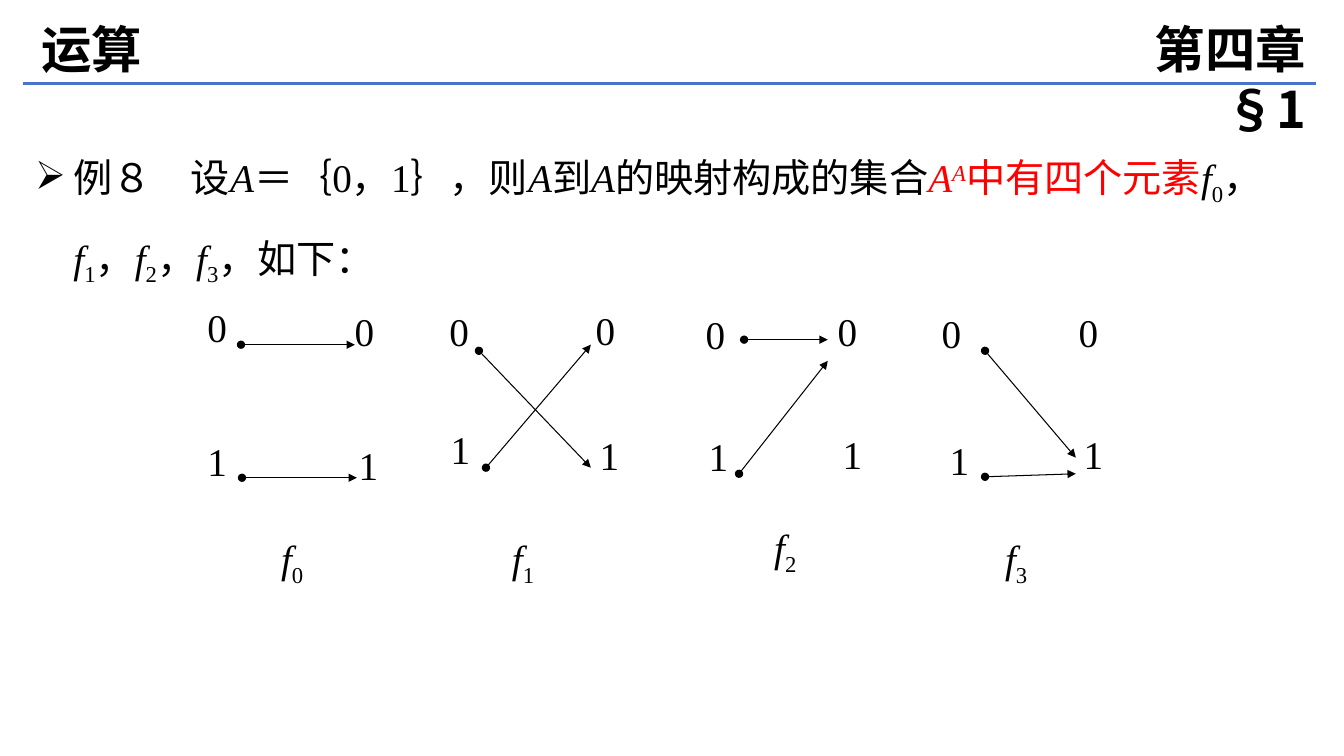
from lxml.etree import SubElement
from pptx import Presentation
from pptx.dml.color import RGBColor
from pptx.enum.shapes import MSO_CONNECTOR
from pptx.enum.text import MSO_ANCHOR, MSO_AUTO_SIZE, PP_ALIGN
from pptx.oxml.ns import qn
from pptx.util import Inches, Pt

COLORS = {"text": "000000", "accent": "FF0000", "rule": "4874CB"}
HEADING_FONT = "Noto Sans CJK SC"
MATH_FONT = "Times New Roman"
LABEL_WIDTH, LABEL_HEIGHT = 0.66, 0.92
SUBSCRIPT, SUPERSCRIPT = -25, 30

MAPPINGS = [
    {
        "name": (2.69, 5.25),
        "labels": [("0", 1.96, 2.96), ("1", 1.96, 4.29), ("0", 3.42, 3), ("1", 3.46, 4.33)],
        "arrows": [(2.39, 3.42, 3.52, 3.42), (2.4, 4.74, 3.54, 4.74)],
        "dots": [(3.61, 3.42), (3.63, 4.76)],
    },
    {
        "name": (4.98, 5.25),
        "labels": [("0", 4.36, 3), ("1", 4.37, 4.17), ("0", 5.81, 2.99), ("1", 5.85, 4.23)],
        "arrows": [(4.75, 3.48, 5.86, 4.64), (4.82, 4.64, 5.86, 3.42)],
        "dots": [(6.05, 3.42), (6.05, 4.64)],
    },
    {
        "name": (7.58, 5.14),
        "labels": [("0", 6.9, 3.03), ("1", 6.93, 4.24), ("0", 8.21, 3), ("1", 8.26, 4.22)],
        "arrows": [(7.38, 3.37, 8.21, 3.37), (7.33, 4.7, 8.21, 3.58)],
        "dots": [(8.58, 3.42), (8.63, 4.64)],
    },
    {
        "name": (9.87, 5.25),
        "labels": [("0", 9.24, 3.02), ("1", 9.32, 4.28), ("0", 10.6, 3.01), ("1", 10.65, 4.22)],
        "arrows": [(9.77, 3.48, 10.67, 4.54), (9.77, 4.73, 10.67, 4.7)],
        "dots": [(10.7, 3.42), (10.74, 4.7)],
    },
]


def add_run(paragraph, text, size=28, font=MATH_FONT, color="text",
            bold=False, italic=False, baseline=0):
    """Append one formatted run to a paragraph."""
    run = paragraph.add_run()
    run.text = text
    run.font.size = Pt(size)
    run.font.name = font
    run.font.bold = bold
    run.font.italic = italic
    run.font.color.rgb = RGBColor.from_string(COLORS[color])
    properties = run._r.get_or_add_rPr()
    SubElement(properties, qn("a:ea")).set("typeface", HEADING_FONT)
    if baseline:
        properties.set("baseline", str(baseline * 1000))


def add_function_name(paragraph, index):
    """Write the italic f with its subscript index."""
    add_run(paragraph, "f", italic=True)
    add_run(paragraph, str(index), baseline=SUBSCRIPT)


def add_text_box(slide, left, top, width, height):
    """Add a wrapping, top-anchored text box and return it."""
    box = slide.shapes.add_textbox(Inches(left), Inches(top), Inches(width), Inches(height))
    box.text_frame.word_wrap = True
    box.text_frame.vertical_anchor = MSO_ANCHOR.TOP
    return box


def add_label(slide, left, top):
    """Add a diagram label box and return its justified paragraph."""
    box = add_text_box(slide, left, top, LABEL_WIDTH, LABEL_HEIGHT)
    paragraph = box.text_frame.paragraphs[0]
    paragraph.alignment = PP_ALIGN.JUSTIFY
    return paragraph


def add_line(slide, start_x, start_y, end_x, end_y, color="text", width=0.75,
             head=None, tail=None):
    """Add a straight line with optional end markers."""
    line = slide.shapes.add_connector(
        MSO_CONNECTOR.STRAIGHT, Inches(start_x), Inches(start_y), Inches(end_x), Inches(end_y))
    line.line.color.rgb = RGBColor.from_string(COLORS[color])
    line.line.width = Pt(width)
    outline = line.line._get_or_add_ln()
    for tag, marker in (("a:headEnd", head), ("a:tailEnd", tail)):
        if marker:
            SubElement(outline, qn(tag)).set("type", marker)
    SubElement(line._element.spPr, qn("a:effectLst"))


def add_headings(slide):
    """Place the title, the chapter reference and the rule below them."""
    add_line(slide, 0.23, 0.83, 13.05, 0.83, color="rule", width=2.25)
    title = slide.shapes.title
    title.left, title.top = Inches(0.31), Inches(0.13)
    title.width, title.height = Inches(4.1), Inches(0.71)
    title.text_frame.vertical_anchor = MSO_ANCHOR.TOP
    chapter = add_text_box(slide, 10.51, 0.13, 2.54, 0.71)
    chapter.text_frame.margin_left = Inches(0.5)
    for shape, text, alignment in ((title, "运算", PP_ALIGN.LEFT),
                                   (chapter, "第四章 §1", PP_ALIGN.RIGHT)):
        shape.text_frame.auto_size = MSO_AUTO_SIZE.SHAPE_TO_FIT_TEXT
        paragraph = shape.text_frame.paragraphs[0]
        paragraph.alignment = alignment
        add_run(paragraph, text, size=36, font=HEADING_FONT, bold=True)


def add_example(slide):
    """Write the bulleted example statement."""
    box = add_text_box(slide, 0.25, 1.21, 12.79, 5.04)
    paragraph = box.text_frame.paragraphs[0]
    paragraph.line_spacing = 1.5
    properties = paragraph._p.get_or_add_pPr()
    properties.set("marL", str(Inches(0.38)))
    properties.set("indent", str(Inches(-0.38)))
    SubElement(properties, qn("a:buChar")).set("char", "➢")

    add_run(paragraph, "例８", font="Calibri")
    for text in ("\u3000设", "＝｛0，1｝，则", "到"):
        add_run(paragraph, text)
        add_run(paragraph, "A", italic=True)
    add_run(paragraph, "的映射构成的集合")
    add_run(paragraph, "A", color="accent", italic=True)
    add_run(paragraph, "A", color="accent", italic=True, baseline=SUPERSCRIPT)
    add_run(paragraph, "中有四个元素", color="accent")
    for index in range(len(MAPPINGS)):
        if index:
            add_run(paragraph, "，")
        add_function_name(paragraph, index)
    add_run(paragraph, "，如下")
    add_run(paragraph, "：", font="Calibri")


def add_mapping(slide, index, mapping):
    """Draw one mapping diagram with its labels, arrows, dots and name."""
    for text, left, top in mapping["labels"]:
        add_run(add_label(slide, left, top), text)
    for arrow in mapping["arrows"]:
        add_line(slide, *arrow, head="oval", tail="triangle")
    for x, y in mapping["dots"]:
        add_line(slide, x, y, x, y, head="oval", tail="oval")
    add_function_name(add_label(slide, *mapping["name"]), index)


def main():
    """Build the slide and save the presentation."""
    presentation = Presentation()
    presentation.slide_width = Inches(13.33)
    presentation.slide_height = Inches(7.5)
    slide = presentation.slides.add_slide(presentation.slide_layouts[5])
    add_headings(slide)
    add_example(slide)
    for index, mapping in enumerate(MAPPINGS):
        add_mapping(slide, index, mapping)
    presentation.save("out.pptx")


if __name__ == "__main__":
    main()
